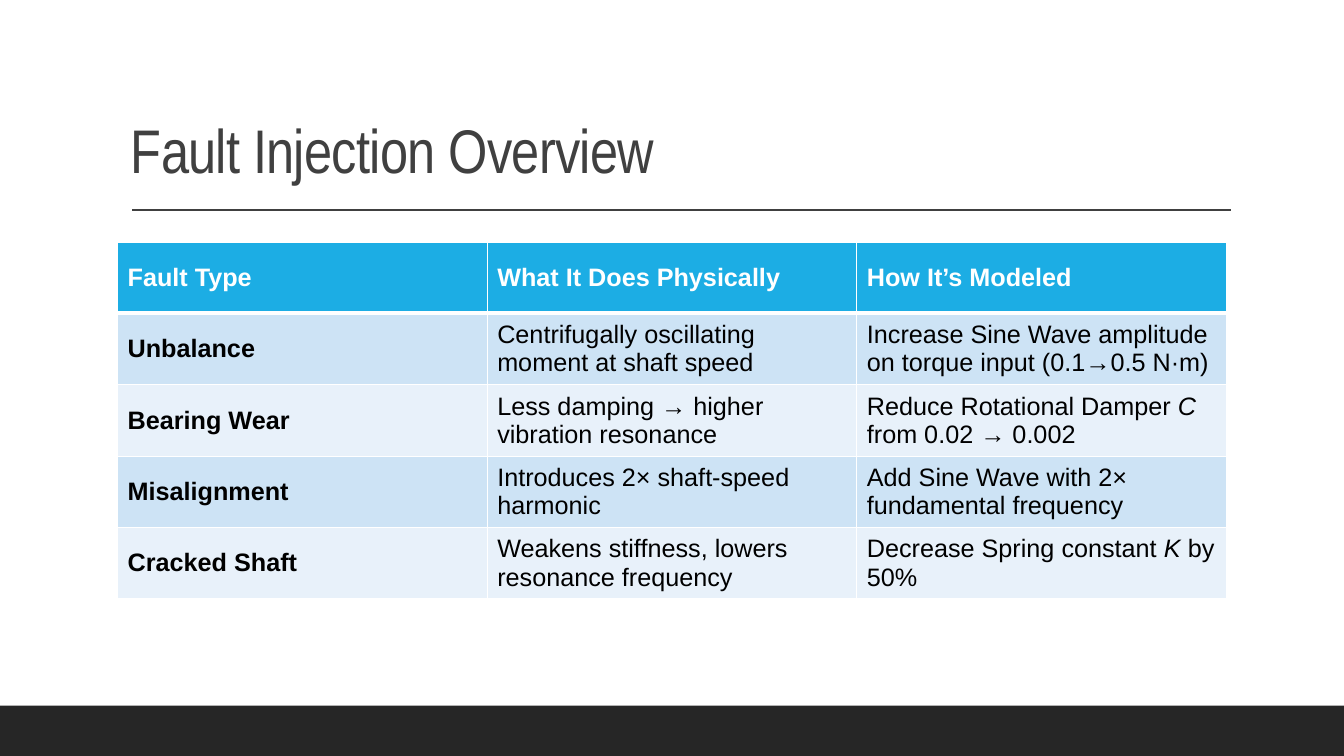
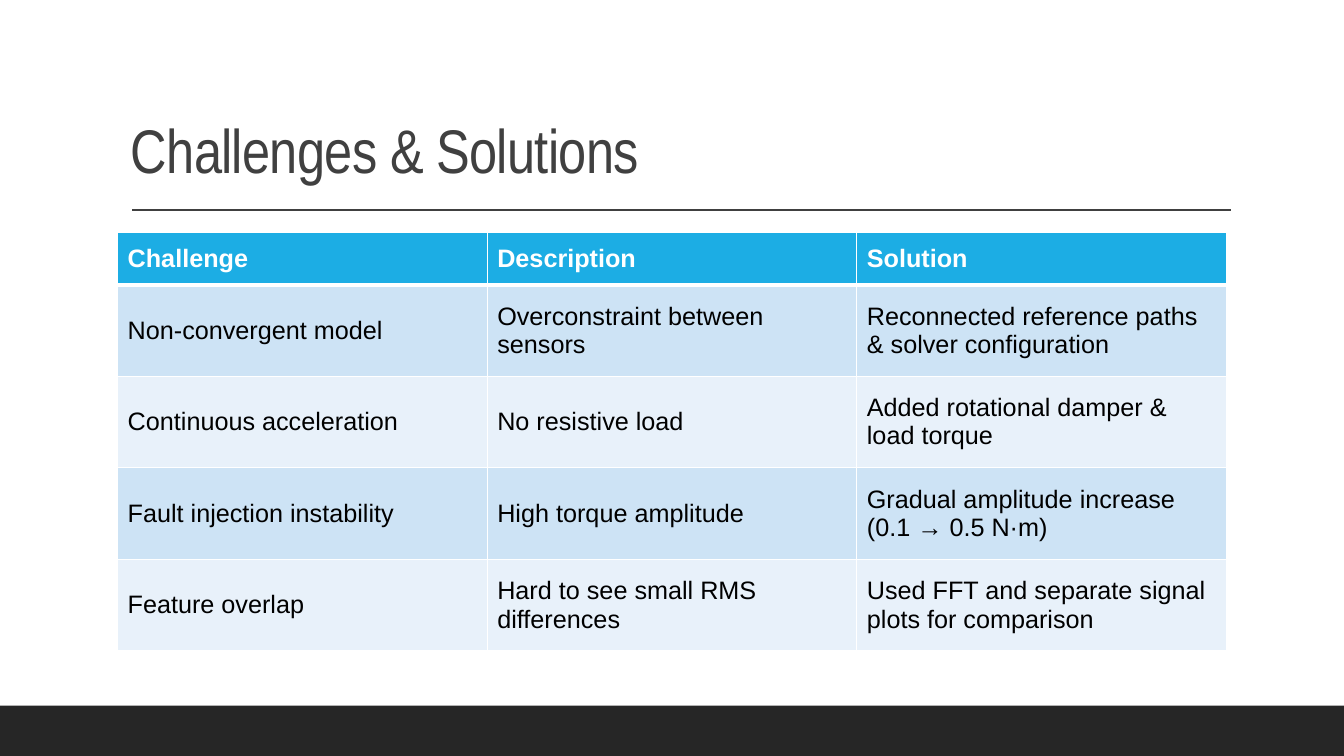
from dataclasses import dataclass

from lxml.etree import SubElement
from pptx import Presentation
from pptx.dml.color import RGBColor
from pptx.enum.shapes import MSO_CONNECTOR, MSO_SHAPE
from pptx.enum.text import MSO_ANCHOR
from pptx.oxml import parse_xml
from pptx.oxml.ns import nsdecls, qn
from pptx.util import Inches, Pt


@dataclass(frozen=True)
class Theme:
    band: str = "262626"
    heading: str = "404040"
    header_fill: str = "1CADE4"
    header_text: str = "FFFFFF"
    border: str = "FFFFFF"
    body_text: str = "000000"
    stripes: tuple = ("CDE3F5", "E8F1FA")
    title_font: str = "Arial Narrow"
    table_font: str = "Arial"
    title_size: int = 44
    table_size: int = 18
    title_tracking: int = -50
    rule_width: int = 1
    border_width: int = 1
    header_border_width: int = 3


class Deck:
    COLUMNS, ROWS = 160, 90

    def __init__(self, theme):
        self.theme = theme
        self.presentation = Presentation()
        self.presentation.slide_width = Inches(13.33)
        self.presentation.slide_height = Inches(7.5)
        self.slide = None

    def x(self, columns):
        return round(self.presentation.slide_width * columns / self.COLUMNS)

    def y(self, rows):
        return round(self.presentation.slide_height * rows / self.ROWS)

    def box(self, left, top, width, height):
        return self.x(left), self.y(top), self.x(width), self.y(height)

    def new_slide(self, heading):
        self.slide = self.presentation.slides.add_slide(self.presentation.slide_layouts[6])
        self.footer_band()
        self.rule()
        self.title(heading)

    def footer_band(self):
        band = self.slide.shapes.add_shape(MSO_SHAPE.RECTANGLE, *self.box(0, 84, self.COLUMNS, 6))
        band.shadow.inherit = False
        band.fill.solid()
        band.fill.fore_color.rgb = RGBColor.from_string(self.theme.band)
        band.line.fill.background()

    def rule(self):
        height = self.y(25)
        rule = self.slide.shapes.add_connector(
            MSO_CONNECTOR.STRAIGHT, self.x(15.75), height, self.x(146.5), height)
        rule.line.color.rgb = RGBColor.from_string(self.theme.heading)
        rule.line.width = Pt(self.theme.rule_width)
        SubElement(rule._element.spPr, qn("a:effectLst"))

    def title(self, heading):
        frame = self.slide.shapes.add_textbox(*self.box(14.4, 3.7, 132, 19.1)).text_frame
        frame.word_wrap = True
        frame.vertical_anchor = MSO_ANCHOR.BOTTOM
        paragraph = frame.paragraphs[0]
        paragraph.line_spacing = 0.9
        run = self.run(paragraph, heading, self.theme.title_font,
                       self.theme.title_size, self.theme.heading)
        run._r.get_or_add_rPr().set("spc", str(self.theme.title_tracking))

    def run(self, paragraph, words, font, size, color, bold=False, italic=False):
        run = paragraph.add_run()
        run.text = words
        run.font.name = font
        run.font.size = Pt(size)
        run.font.color.rgb = RGBColor.from_string(color)
        run.font.bold = bold
        run.font.italic = italic
        return run

    def table(self, top, header_height, body_height, entries, bold_labels=False):
        heights = [header_height] + [body_height] * (len(entries) - 1)
        table = self.slide.shapes.add_table(
            len(entries), len(entries[0]), *self.box(14, top, 132, sum(heights))).table
        table.horz_banding = False
        for row, height in zip(table.rows, heights):
            row.height = self.y(height)
        for row, line in enumerate(entries):
            for column, entry in enumerate(line):
                bold = row == 0 or (bold_labels and column == 0)
                self.cell(table.cell(row, column), entry, row, bold)

    def cell(self, cell, entry, row, bold):
        theme = self.theme
        header = row == 0
        fill = theme.header_fill if header else theme.stripes[(row - 1) % len(theme.stripes)]
        cell.fill.solid()
        cell.fill.fore_color.rgb = RGBColor.from_string(fill)
        cell.vertical_anchor = MSO_ANCHOR.MIDDLE
        color = theme.header_text if header else theme.body_text
        for part, words in enumerate(entry.split("*")):
            self.run(cell.text_frame.paragraphs[0], words, theme.table_font,
                     theme.table_size, color, bold, italic=part % 2 == 1)
        heavy_edge = {0: "lnB", 1: "lnT"}.get(row)
        for position, edge in enumerate(("lnL", "lnR", "lnT", "lnB")):
            width = theme.header_border_width if edge == heavy_edge else theme.border_width
            cell._tc.get_or_add_tcPr().insert(position, parse_xml(
                f'<a:{edge} {nsdecls("a")} w="{Pt(width)}"><a:solidFill>'
                f'<a:srgbClr val="{theme.border}"/></a:solidFill></a:{edge}>'))

    def save(self):
        self.presentation.save("out.pptx")


FAULTS = [
    ("Fault Type", "What It Does Physically", "How It’s Modeled"),
    ("Unbalance", "Centrifugally oscillating moment at shaft speed",
     "Increase Sine Wave amplitude on torque input (0.1→0.5 N·m)"),
    ("Bearing Wear", "Less damping → higher vibration resonance",
     "Reduce Rotational Damper *C* from 0.02 → 0.002"),
    ("Misalignment", "Introduces 2× shaft-speed harmonic",
     "Add Sine Wave with 2× fundamental frequency"),
    ("Cracked Shaft", "Weakens stiffness, lowers resonance frequency",
     "Decrease Spring constant *K* by 50%"),
]

CHALLENGES = [
    ("Challenge", "Description", "Solution"),
    ("Non-convergent model", "Overconstraint between sensors",
     "Reconnected reference paths & solver configuration"),
    ("Continuous acceleration", "No resistive load", "Added rotational damper & load torque"),
    ("Fault injection instability", "High torque amplitude",
     "Gradual amplitude increase (0.1 → 0.5 N·m)"),
    ("Feature overlap", "Hard to see small RMS differences",
     "Used FFT and separate signal plots for comparison"),
]


def main():
    deck = Deck(Theme())
    deck.new_slide("Fault Injection Overview")
    deck.table(28.8, 8.5, 8.5, FAULTS, bold_labels=True)
    deck.new_slide("Challenges & Solutions")
    deck.table(27.7, 6.2, 10.9, CHALLENGES)
    deck.save()


if __name__ == "__main__":
    main()
